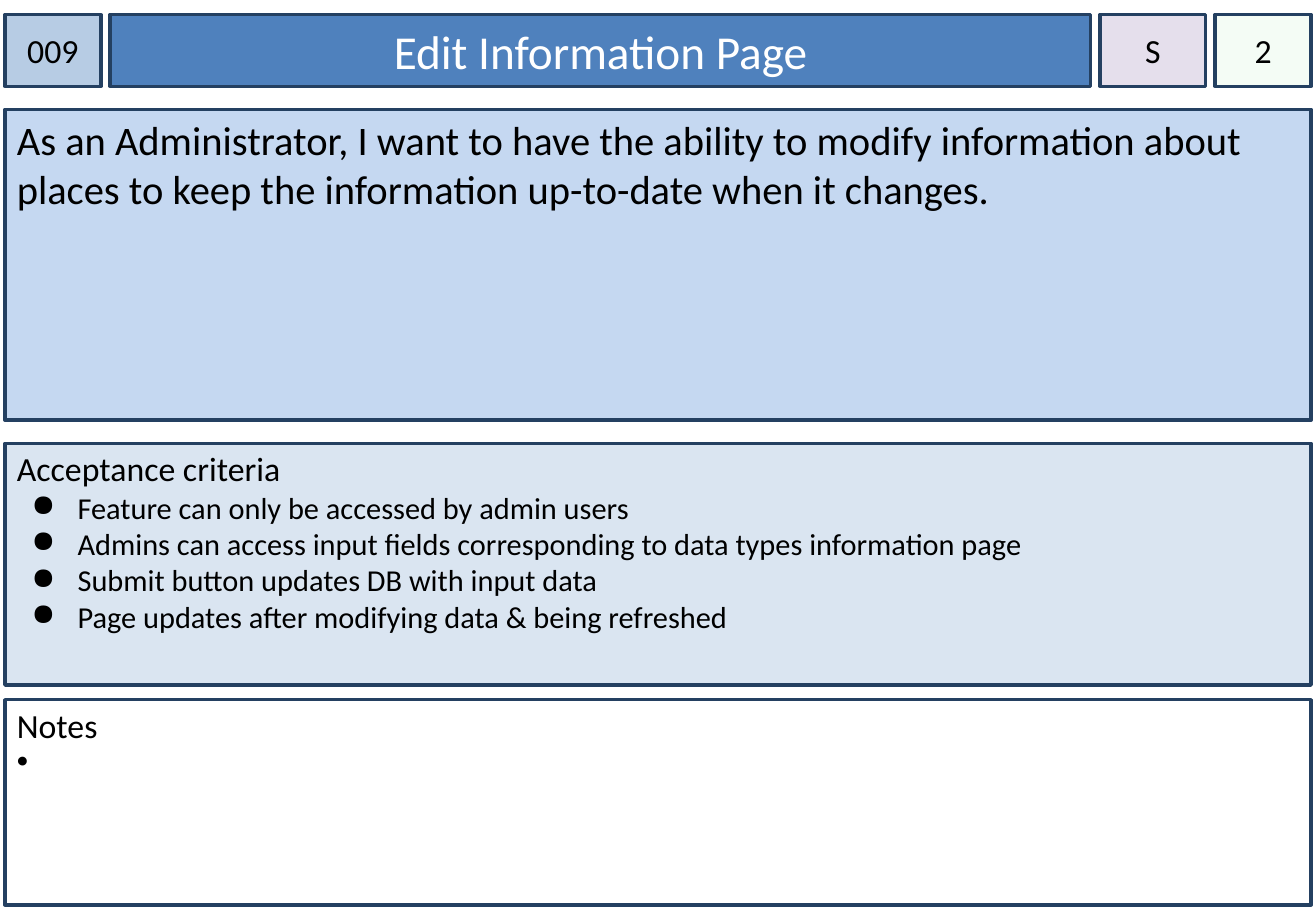
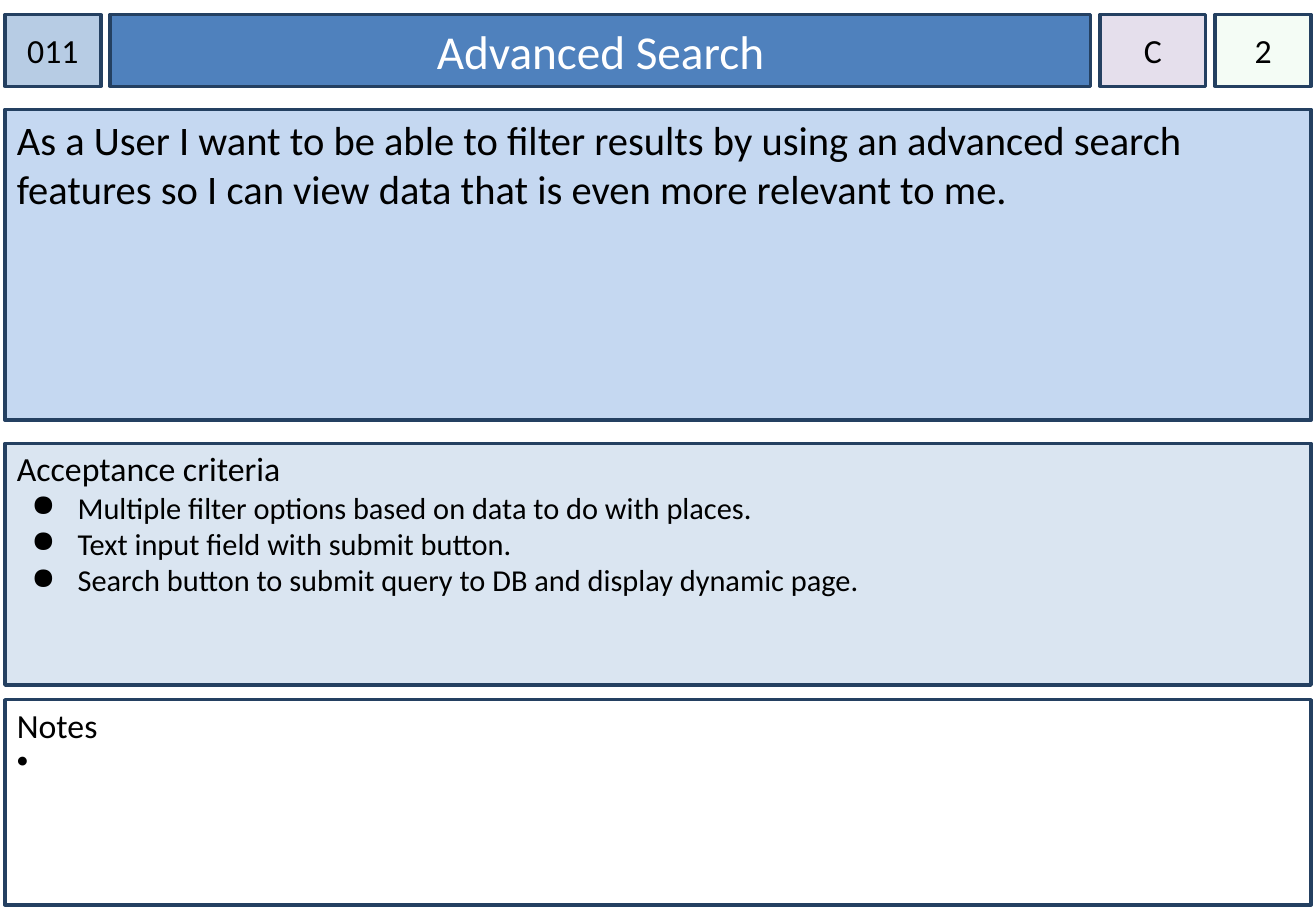
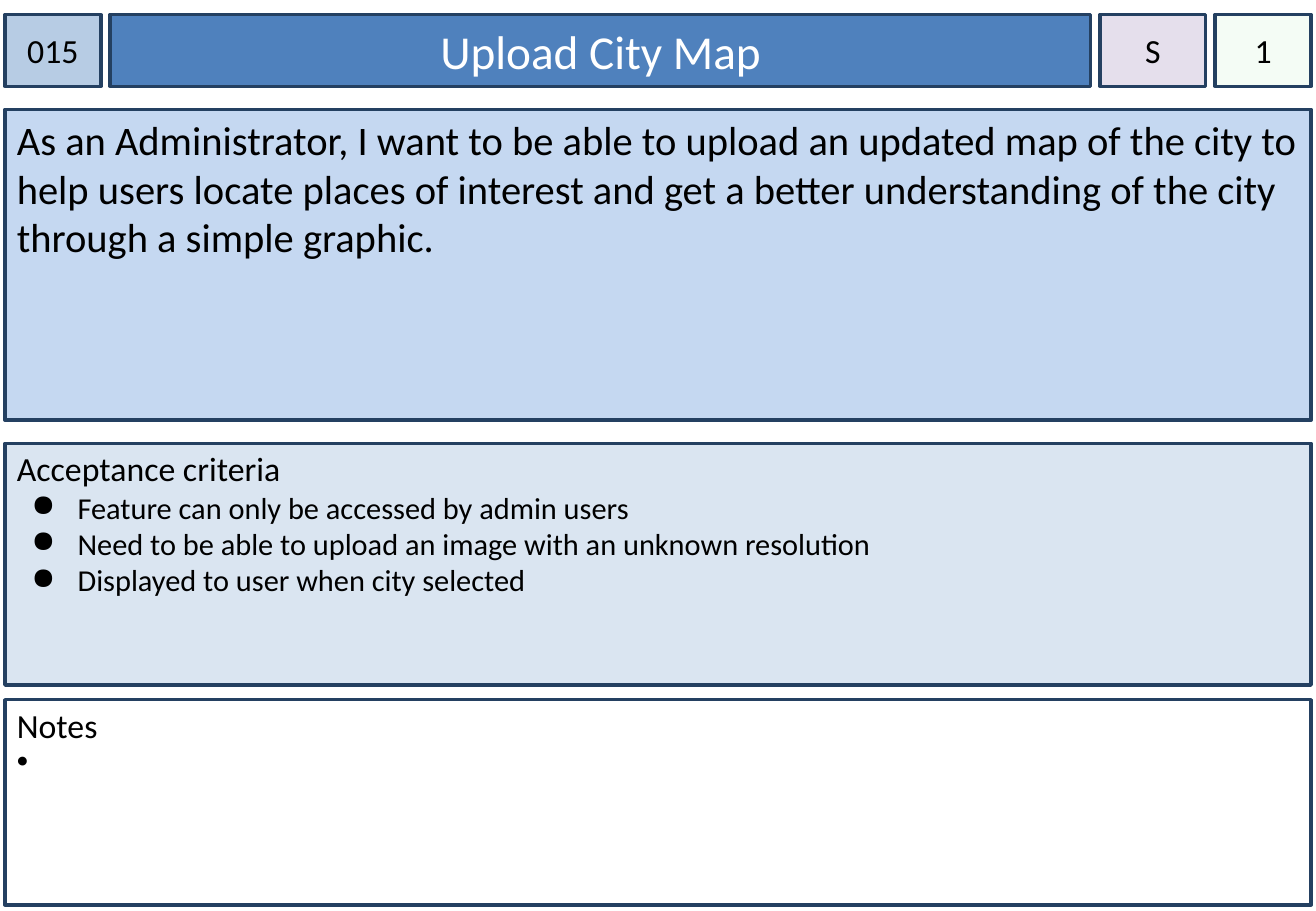
import dataclasses

import pptx
import pptx.dml.color
import pptx.enum.shapes
import pptx.enum.text
import pptx.oxml.ns
import pptx.util
from lxml import etree

Inches = pptx.util.Inches
Pt = pptx.util.Pt
Color = pptx.dml.color.RGBColor.from_string
Align = pptx.enum.text.PP_ALIGN
Anchor = pptx.enum.text.MSO_ANCHOR
qn = pptx.oxml.ns.qn


@dataclasses.dataclass(frozen=True)
class Theme:
    font: str = "Calibri"
    ink: str = "000000"
    title_ink: str = "FFFFFF"
    border: str = "244061"
    number_fill: str = "B7CCE4"
    title_fill: str = "4F81BD"
    priority_fill: str = "E5DFEC"
    estimate_fill: str = "CCF0CD"
    story_fill: str = "C5D8F1"
    criteria_fill: str = "DAE5F1"
    remarks_fill: str = "FFFFFF"
    title_size: int = 28
    story_size: int = 24
    label_size: int = 20
    bullet_size: int = 18


theme = Theme()

SLIDE_WIDTH, SLIDE_HEIGHT = 10.83, 7.5
MARGIN = 0.04
INNER_WIDTH = SLIDE_WIDTH - 2 * MARGIN

# Top and height of each row; widths of the header cells, which share equal gaps
ROWS = {"header": (0.12, 0.59), "story": (0.9, 2.56),
        "criteria": (3.65, 1.99), "remarks": (5.76, 1.69)}
HEADER_WIDTHS = [0.79, 8.07, 0.87, 0.79]
HEADER_GAP = (INNER_WIDTH - sum(HEADER_WIDTHS)) / (len(HEADER_WIDTHS) - 1)

CARDS = [
    ("009", "Edit Information Page", "S", "2",
     "As an Administrator, I want to have the ability to modify information about "
     "places to keep the information up-to-date when it changes.",
     ["Feature can only be accessed by admin users",
      "Admins can access input fields corresponding to data types information page",
      "Submit button updates DB with input data",
      "Page updates after modifying data & being refreshed"]),
    ("011", "Advanced Search", "C", "2",
     "As a User I want to be able to filter results by using an advanced search "
     "features so I can view data that is even more relevant to me.",
     ["Multiple filter options based on data to do with places.",
      "Text input field with submit button.",
      "Search button to submit query to DB and display dynamic page."]),
    ("015", "Upload City Map", "S", "1",
     "As an Administrator, I want to be able to upload an updated map of the city to "
     "help users locate places of interest and get a better understanding of the city "
     "through a simple graphic.",
     ["Feature can only be accessed by admin users",
      "Need to be able to upload an image with an unknown resolution",
      "Displayed to user when city selected"]),
]


def add_panel(slide, row, fill, left=MARGIN, width=INNER_WIDTH, side_inset=0.1,
              top_inset=0.05, anchor=Anchor.TOP, opacity=None):
    """Add a bordered rectangle in a named row, ready to take text."""
    top, height = ROWS[row]
    panel = slide.shapes.add_shape(pptx.enum.shapes.MSO_SHAPE.RECTANGLE, Inches(left),
                                   Inches(top), Inches(width), Inches(height))
    panel.shadow.inherit = False
    panel.fill.solid()
    panel.fill.fore_color.rgb = Color(fill)
    if opacity is not None:
        color = panel._element.spPr.find(qn("a:solidFill"))[0]
        etree.SubElement(color, qn("a:alpha"), val=str(opacity * 1000))
    panel.line.color.rgb = Color(theme.border)
    panel.line.width = Pt(2)
    frame = panel.text_frame
    frame.word_wrap = True
    frame.vertical_anchor = anchor
    frame.margin_left = frame.margin_right = Inches(side_inset)
    frame.margin_top, frame.margin_bottom = Inches(top_inset), Inches(0.05)
    return panel


def write_text(panel, text, size, color=theme.ink, align=Align.LEFT,
               bullet=None, indent=0, hang=0):
    """Append one paragraph, using the empty first one if there is no text yet."""
    frame = panel.text_frame
    para = frame.add_paragraph() if frame.text else frame.paragraphs[0]
    para.alignment = align
    if bullet:
        properties = para._p.get_or_add_pPr()
        properties.set("marL", str(Inches(indent)))
        properties.set("indent", str(-Inches(hang)))
        bullet_color = etree.SubElement(properties, qn("a:buClr"))
        etree.SubElement(bullet_color, qn("a:srgbClr"), val=color)
        etree.SubElement(properties, qn("a:buChar"), char=bullet)
    span = para.add_run()
    span.text = text
    span.font.name = theme.font
    span.font.size = Pt(size)
    span.font.color.rgb = Color(color)


deck = pptx.Presentation()
deck.slide_width, deck.slide_height = Inches(SLIDE_WIDTH), Inches(SLIDE_HEIGHT)
blank_layout = deck.slide_layouts[6]

for number, title, priority, estimate, story, criteria in CARDS:
    slide = deck.slides.add_slide(blank_layout)

    header = [
        (number, theme.number_fill, theme.label_size, theme.ink, None),
        (title, theme.title_fill, theme.title_size, theme.title_ink, None),
        (priority, theme.priority_fill, theme.label_size, theme.ink, None),
        (estimate, theme.estimate_fill, theme.label_size, theme.ink, 20),
    ]
    left = MARGIN
    for width, (text, fill, size, ink, opacity) in zip(HEADER_WIDTHS, header):
        cell = add_panel(slide, "header", fill, left=left, width=width, side_inset=0,
                         anchor=Anchor.MIDDLE, opacity=opacity)
        write_text(cell, text, size, color=ink, align=Align.CENTER)
        left += width + HEADER_GAP

    story_panel = add_panel(slide, "story", theme.story_fill)
    write_text(story_panel, story, theme.story_size)

    criteria_panel = add_panel(slide, "criteria", theme.criteria_fill, top_inset=0.04)
    write_text(criteria_panel, "Acceptance criteria", theme.label_size)
    for criterion in criteria:
        write_text(criteria_panel, criterion, theme.bullet_size,
                   bullet="●", indent=0.5, hang=0.38)

    remarks_panel = add_panel(slide, "remarks", theme.remarks_fill, top_inset=0.04)
    write_text(remarks_panel, "Notes", theme.label_size)
    write_text(remarks_panel, " ", theme.label_size, bullet="•", indent=0.2, hang=0.2)

deck.save("out.pptx")
